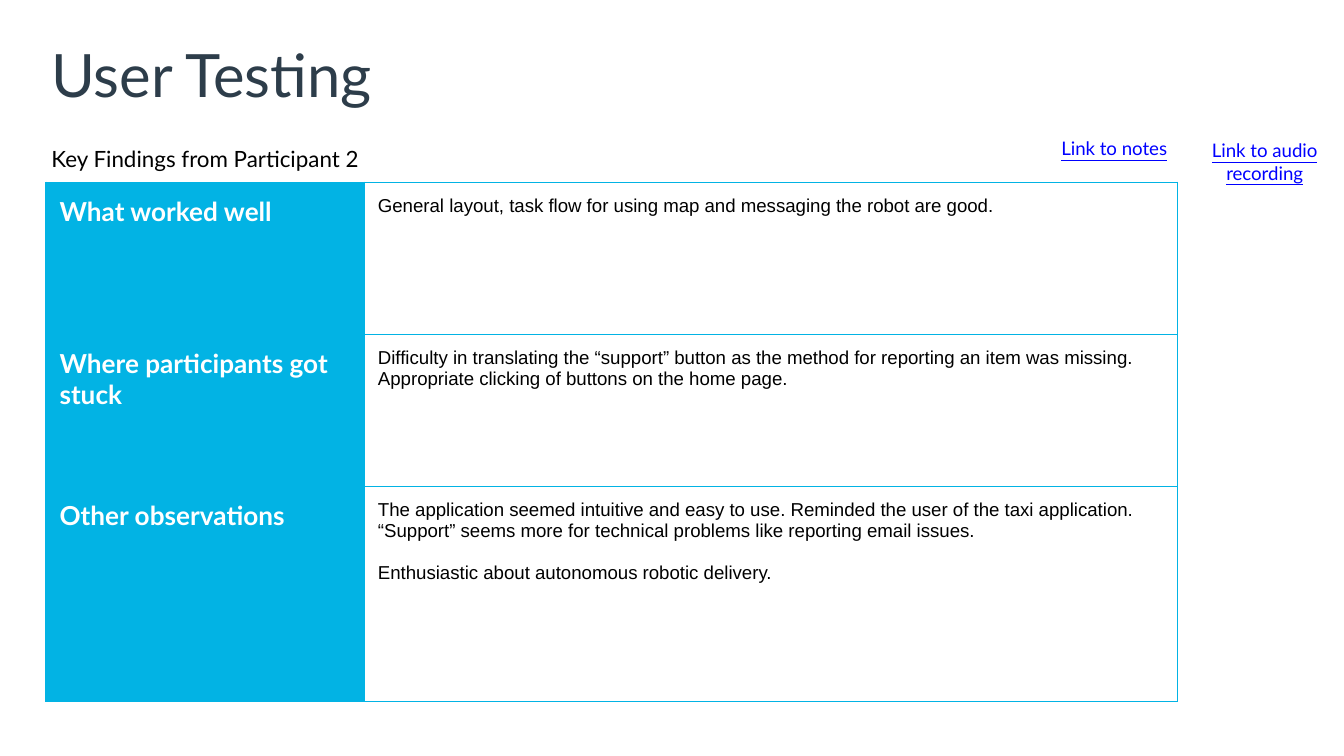
import pptx
import pptx.dml.color
import pptx.enum.text
import pptx.oxml
import pptx.oxml.ns
import pptx.util
from pptx.util import Pt

CYAN = pptx.dml.color.RGBColor(0x02, 0xB3, 0xE4)
SLATE = pptx.dml.color.RGBColor(0x2D, 0x3D, 0x4A)
BLACK = pptx.dml.color.RGBColor(0, 0, 0)
WHITE = pptx.dml.color.RGBColor(0xFF, 0xFF, 0xFF)
LINK_BLUE = pptx.dml.color.RGBColor(0, 0, 0xFF)

LEFT = Pt(24.5)
CELL_INSET = Pt(7.2)
COLUMN_WIDTHS = (Pt(170.6), Pt(435.6))
ROW_HEIGHTS = (Pt(81.5), Pt(81.5), Pt(115.4))
FINDINGS = (
    ("What worked well",
     ["General layout, task flow for using map and messaging the robot are good."]),
    ("Where participants got stuck",
     ["Difficulty in translating the “support” button as the method for reporting "
      "an item was missing. Appropriate clicking of buttons on the home page."]),
    ("Other observations",
     ["The application seemed intuitive and easy to use. Reminded the user of the "
      "taxi application. “Support” seems more for technical problems like reporting "
      "email issues.",
      "Enthusiastic about autonomous robotic delivery."]),
)


def format_runs(text_frame, size, color, name="Lato", bold=False, underline=False):
    for paragraph in text_frame.paragraphs:
        for run in paragraph.runs:
            run.font.name = name
            run.font.size = Pt(size)
            run.font.bold = bold
            run.font.underline = underline
            run.font.color.rgb = color


def set_insets(target, inset):
    target.margin_left = target.margin_right = inset
    target.margin_top = target.margin_bottom = inset


def add_text(slide, text, left, top, width, height, inset, size, color, underline=False):
    shape = slide.shapes.add_textbox(left, top, width, height)
    text_frame = shape.text_frame
    text_frame.word_wrap = True
    set_insets(text_frame, inset)
    text_frame.text = text
    format_runs(text_frame, size, color, underline=underline)
    return text_frame


def add_link_label(slide, text, left):
    text_frame = add_text(slide, text, left, Pt(67.2), Pt(79.2), Pt(34.6),
                          CELL_INSET, 10, LINK_BLUE, underline=True)
    text_frame.paragraphs[0].alignment = pptx.enum.text.PP_ALIGN.CENTER


def set_borders(cell):
    properties = cell._tc.get_or_add_tcPr()
    for position, side in enumerate(("lnL", "lnR", "lnT", "lnB")):
        border = pptx.oxml.parse_xml(
            f'<a:{side} {pptx.oxml.ns.nsdecls("a")} w="{Pt(0.75)}">'
            f'<a:solidFill><a:srgbClr val="{CYAN}"/></a:solidFill></a:{side}>')
        properties.insert(position, border)


def fill_cell(cell, paragraphs, fill):
    set_insets(cell, CELL_INSET)
    cell.text_frame.text = "\n".join(paragraphs)
    for paragraph in cell.text_frame.paragraphs[1:]:
        paragraph.space_before = Pt(11.5)
    if fill is None:
        cell.fill.background()
    else:
        cell.fill.solid()
        cell.fill.fore_color.rgb = fill
    set_borders(cell)


def add_findings_table(slide):
    shape = slide.shapes.add_table(len(FINDINGS), len(COLUMN_WIDTHS), Pt(24.7), Pt(97.6),
                                   sum(COLUMN_WIDTHS), sum(ROW_HEIGHTS))
    table = shape.table
    table.first_row = False
    table.horz_banding = False
    for column, width in zip(table.columns, COLUMN_WIDTHS):
        column.width = width
    for row, height, (heading, details) in zip(table.rows, ROW_HEIGHTS, FINDINGS):
        row.height = height
        heading_cell, detail_cell = row.cells
        fill_cell(heading_cell, [heading], CYAN)
        format_runs(heading_cell.text_frame, 14, WHITE, bold=True)
        fill_cell(detail_cell, details, None)
        format_runs(detail_cell.text_frame, 10, BLACK, name="Arial")


def main():
    presentation = pptx.Presentation()
    presentation.slide_width = Pt(720)
    presentation.slide_height = Pt(405)
    slide = presentation.slides.add_slide(presentation.slide_layouts[6])
    add_text(slide, "User Testing", LEFT, Pt(17), Pt(671), Pt(45.4), Pt(3), 32, SLATE)
    subtitle = add_text(slide, "Key Findings from Participant 2", LEFT, Pt(72.7),
                        Pt(671), Pt(24.5), Pt(3), 12, BLACK)
    subtitle.paragraphs[0].line_spacing = 1.15
    add_link_label(slide, "Link to audio recording", Pt(637.9))
    add_link_label(slide, "Link to notes", Pt(557.3))
    add_findings_table(slide)
    presentation.save("out.pptx")


if __name__ == "__main__":
    main()
